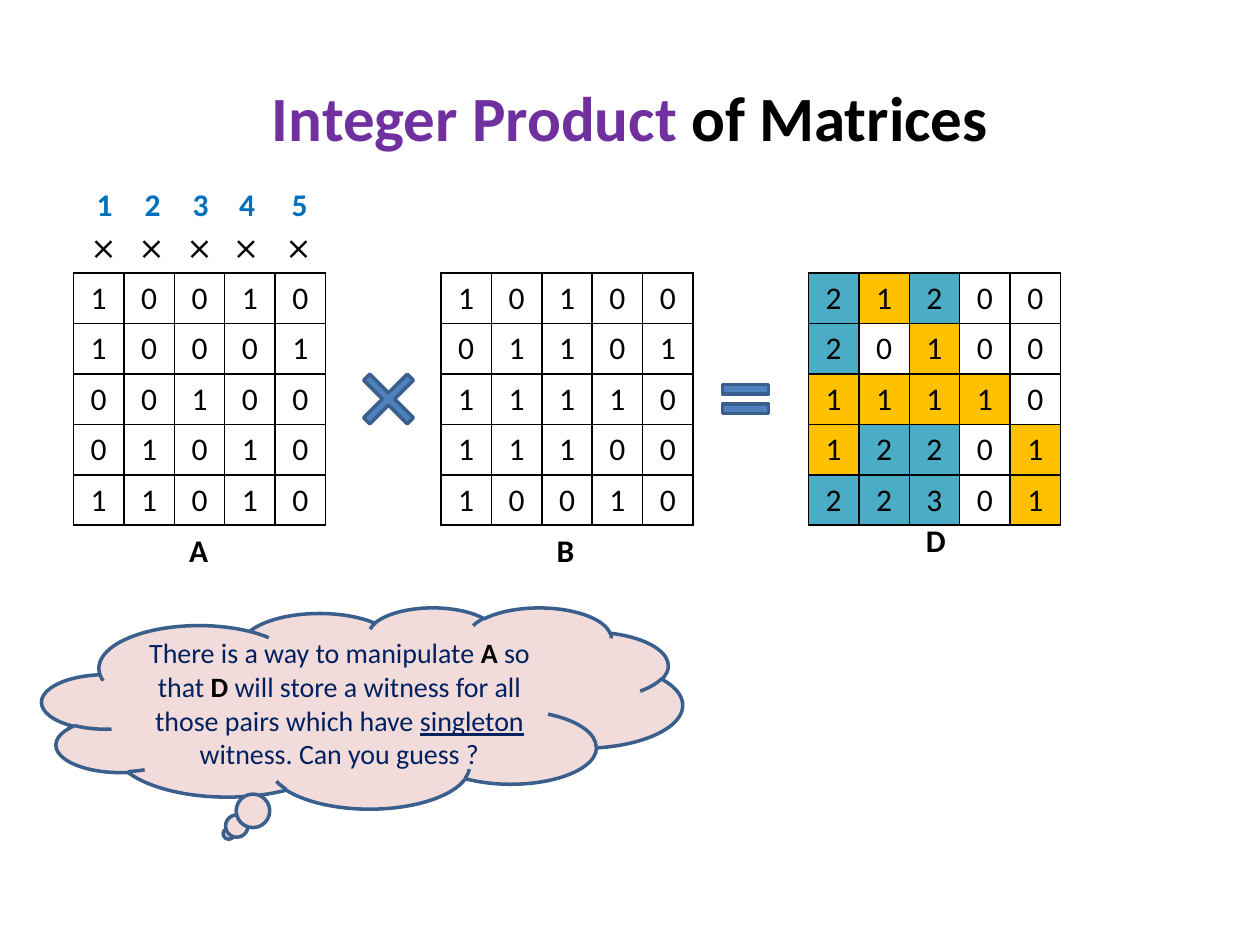
from lxml import etree
from pptx import Presentation
from pptx.dml.color import RGBColor
from pptx.enum.shapes import MSO_SHAPE
from pptx.enum.text import MSO_ANCHOR, MSO_AUTO_SIZE, PP_ALIGN
from pptx.oxml.ns import qn
from pptx.util import Pt

CENTER, LEFT = PP_ALIGN.CENTER, PP_ALIGN.LEFT
MIDDLE, TOP = MSO_ANCHOR.MIDDLE, MSO_ANCHOR.TOP
FIT_SHAPE = MSO_AUTO_SIZE.SHAPE_TO_FIT_TEXT
MULTIPLY, EQUAL = MSO_SHAPE.MATH_MULTIPLY, MSO_SHAPE.MATH_EQUAL
CLOUD = MSO_SHAPE.CLOUD_CALLOUT

BLACK, PURPLE, BLUE, NAVY = "000000", "7030A0", "0070C0", "002060"
SIGN_FILL, OUTLINE, CLOUD_FILL = "4F81BD", "3A5F8C", "F2DCDB"
DIGIT_FILLS = {"1": "FFC000", "2": "4BACC6", "3": "4BACC6"}


def color(hex_value):
    return RGBColor.from_string(hex_value)


def write(frame, runs, align=LEFT, anchor=TOP):
    """Fill a text frame with (text, color, format values) runs."""
    frame.vertical_anchor = anchor
    paragraph = frame.paragraphs[0]
    paragraph.alignment = align
    for text, hex_value, formats in runs:
        run = paragraph.add_run()
        run.text = text
        run.font.color.rgb = color(hex_value)
        for name, value in ({"name": "Calibri", "size": Pt(18)} | formats).items():
            setattr(run.font, name, value)


presentation = Presentation()
presentation.slide_width, presentation.slide_height = Pt(720), Pt(540)
slide = presentation.slides.add_slide(presentation.slide_layouts[6])
shapes = slide.shapes

# Title
title = shapes.add_textbox(Pt(36), Pt(21.6), Pt(648), Pt(90))
title.text_frame.word_wrap = True
heading = {"size": Pt(36), "bold": True}
write(title.text_frame, [("Integer Product ", PURPLE, heading),
                         ("of Matrices", BLACK, heading)], CENTER, MIDDLE)

# Matrices: left edge, whether digits are highlighted, rows
CELL = 28.8
matrices = [
    (42, False, ["10010", "10001", "00100", "01010", "11010"]),
    (252, False, ["10100", "01101", "11110", "11100", "10010"]),
    (462, True, ["21200", "20100", "11110", "12201", "22301"]),
]
for left, highlighted, rows in matrices:
    table = shapes.add_table(5, 5, Pt(left), Pt(156), Pt(5 * CELL), Pt(5 * CELL)).table
    table.first_row = table.horz_banding = False
    for row, digits in enumerate(rows):
        table.rows[row].height = table.columns[row].width = Pt(CELL)
        for column, digit in enumerate(digits):
            cell = table.cell(row, column)
            write(cell.text_frame, [(digit, BLACK, {})], CENTER)
            if highlighted and digit in DIGIT_FILLS:
                cell.fill.solid()
                cell.fill.fore_color.rgb = color(DIGIT_FILLS[digit])
            else:
                cell.fill.background()
            # Borders go before the fill in the cell properties
            properties = cell._tc.get_or_add_tcPr()
            for position, side in enumerate(["a:lnL", "a:lnR", "a:lnT", "a:lnB"]):
                border = etree.Element(qn(side), w=str(Pt(1)))
                solid = etree.SubElement(border, qn("a:solidFill"))
                etree.SubElement(solid, qn("a:srgbClr"), val=BLACK)
                properties.insert(position, border)

# Operator signs and thought cloud
drawn_shapes = [
    (MULTIPLY, 198, 204, 48, 48, [0.104], SIGN_FILL),
    (EQUAL, 408, 204, 36, 48, [0.116, 0.118], SIGN_FILL),
    (CLOUD, 24, 347, 366, 115, [], CLOUD_FILL),
]
for kind, left, top, width, height, adjustments, fill in drawn_shapes:
    shape = shapes.add_shape(kind, Pt(left), Pt(top), Pt(width), Pt(height))
    shape.shadow.inherit = False
    shape.fill.solid()
    shape.fill.fore_color.rgb = color(fill)
    shape.line.color.rgb = color(OUTLINE)
    shape.line.width = Pt(2)
    for position, value in enumerate(adjustments):
        shape.adjustments[position] = value
    if kind == CLOUD:
        plain, strong = {"size": Pt(16)}, {"size": Pt(16), "bold": True}
        write(shape.text_frame, [
            ("There is a way to manipulate ", NAVY, plain),
            ("A ", BLACK, strong),
            ("so that ", NAVY, plain),
            ("D ", BLACK, strong),
            ("will store a witness for all those pairs which have ", NAVY, plain),
            ("singleton", NAVY, plain | {"underline": True}),
            (" witness. Can you guess ?", NAVY, plain),
        ], CENTER, MIDDLE)

# Matrix names, then a column number over a times sign for each column of A
bold = {"bold": True}
labels = [(shapes, name, left, top, 25, BLACK, bold)
          for name, left, top in [("A", 101, 300), ("B", 311, 300), ("D", 522, 294)]]
for number, left in enumerate([44.6, 72, 99.4, 126, 156], start=1):
    group = shapes.add_group_shape().shapes
    labels += [(group, str(number), left + 3.6, 102, 23.8, BLUE, bold),
               (group, "⨯", left, 126.7, 27.4, BLACK, {"name": "Cambria"})]
for parent, text, left, top, width, hex_value, formats in labels:
    box = parent.add_textbox(Pt(left), Pt(top), Pt(width), Pt(29))
    box.text_frame.word_wrap = False
    box.text_frame.auto_size = FIT_SHAPE
    write(box.text_frame, [(text, hex_value, formats)])

presentation.save("out.pptx")
